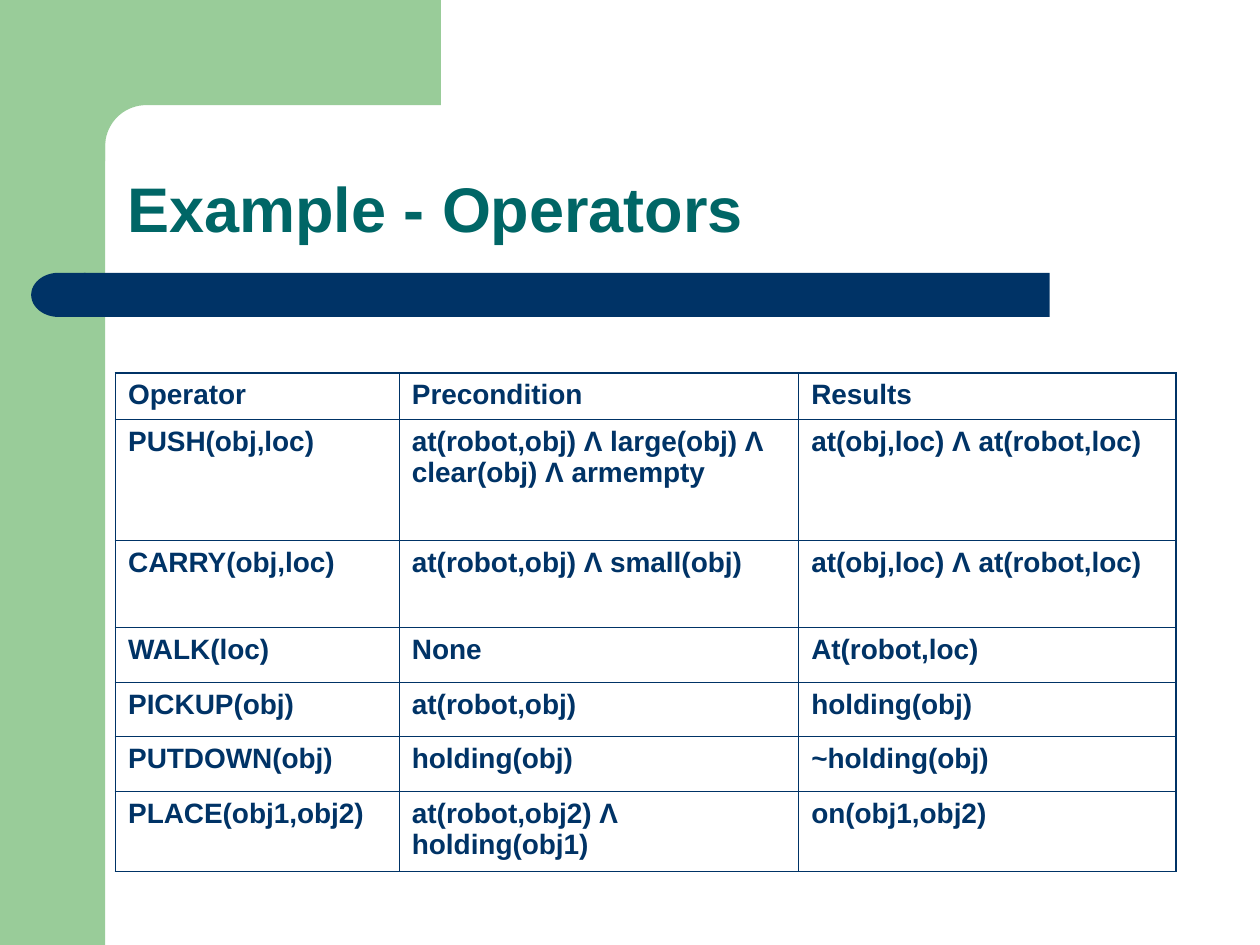
import math
from lxml import etree
from pptx import Presentation
from pptx import util as u
from pptx.dml.color import RGBColor
from pptx.enum import shapes, text
from pptx.oxml.ns import qn

GREEN = RGBColor(0x99, 0xCC, 0x99)
NAVY = RGBColor(0x00, 0x33, 0x66)
TEAL = RGBColor(0x00, 0x66, 0x66)
FONT = "Arial"
OUTER, INNER = 1.08, 0.45

COLUMNS = [5.72, 8.05, 7.6]
HEIGHTS = [0.94, 2.44, 1.75, 1.11, 1.09, 1.11, 1.61]
OPERATORS = [
    ("Operator", "Precondition", "Results"),
    ("PUSH(obj,loc)", "at(robot,obj) Λ large(obj) Λ clear(obj) Λ armempty",
     "at(obj,loc) Λ at(robot,loc)"),
    ("CARRY(obj,loc)", "at(robot,obj) Λ small(obj)", "at(obj,loc) Λ at(robot,loc)"),
    ("WALK(loc)", "None", "At(robot,loc)"),
    ("PICKUP(obj)", "at(robot,obj)", "holding(obj)"),
    ("PUTDOWN(obj)", "holding(obj)", "~holding(obj)"),
    ("PLACE(obj1,obj2)", "at(robot,obj2) Λ holding(obj1)", "on(obj1,obj2)"),
]


def paint(shape, color):
    shape.shadow.inherit = False
    shape.fill.solid()
    shape.fill.fore_color.rgb = color
    shape.line.fill.background()


def add_block(page, kind, left, top, width, height, color):
    block = page.shapes.add_shape(kind, u.Cm(left), u.Cm(top), u.Cm(width), u.Cm(height))
    paint(block, color)
    return block


def add_corner(page):
    center, radius = 2.95, 0.83
    angles = [math.radians(270 - step * 5) for step in range(19)]
    arc = [(center + radius * math.cos(a), center + radius * math.sin(a)) for a in angles]
    points = [(8.89, 2.12), *arc, (2.12, 3.25), (1.27, 3.25), (1.27, 0)]
    builder = page.shapes.build_freeform(u.Cm(8.89), 0)
    builder.add_line_segments([(u.Cm(x), u.Cm(y)) for x, y in points])
    paint(builder.convert_to_shape(), GREEN)


def style(para, size, color):
    para.alignment = text.PP_ALIGN.LEFT
    para.font.name = FONT
    para.font.size = u.Pt(size)
    para.font.bold = True
    para.font.color.rgb = color


def place_title(page, words):
    title = page.shapes.title
    title.left, title.top = u.Cm(2.31), u.Cm(2.31)
    title.width, title.height = u.Cm(21.62), u.Cm(2.77)
    frame = title.text_frame
    frame.text = words
    frame.auto_size = text.MSO_AUTO_SIZE.NONE
    frame.vertical_anchor = text.MSO_ANCHOR.BOTTOM
    para = frame.paragraphs[0]
    para.line_spacing = 0.9
    style(para, 36, TEAL)
    title.element.getparent().append(title.element)


def set_borders(cell, widths):
    properties = cell._tc.get_or_add_tcPr()
    for side, width in widths.items():
        line = etree.SubElement(properties, qn(f"a:ln{side}"), w=str(u.Pt(width)))
        fill = etree.SubElement(line, qn("a:solidFill"))
        etree.SubElement(fill, qn("a:srgbClr"), val=str(NAVY))


def add_operator_table(page):
    last_row, last_column = len(HEIGHTS) - 1, len(COLUMNS) - 1
    frame = page.shapes.add_table(len(HEIGHTS), len(COLUMNS), u.Cm(2.33), u.Cm(7.52),
                                  u.Cm(sum(COLUMNS)), u.Cm(sum(HEIGHTS)))
    table = frame.table
    table.first_row = table.horz_banding = False
    for column, width in zip(table.columns, COLUMNS):
        column.width = u.Cm(width)
    for r, (height, values) in enumerate(zip(HEIGHTS, OPERATORS)):
        table.rows[r].height = u.Cm(height)
        for c, value in enumerate(values):
            cell = table.cell(r, c)
            cell.text = value
            style(cell.text_frame.paragraphs[0], 16, NAVY)
            set_borders(cell, {
                "L": OUTER if c == 0 else INNER,
                "R": OUTER if c == last_column else INNER,
                "T": OUTER if r == 0 else INNER,
                "B": OUTER if r == last_row else INNER,
            })
            cell.fill.background()


def main():
    deck = Presentation()
    deck.slide_width, deck.slide_height = u.Cm(25.4), u.Cm(19.05)
    page = deck.slides.add_slide(deck.slide_layouts[5])
    kinds = shapes.MSO_SHAPE
    add_block(page, kinds.RECTANGLE, 0, 0, 2.12, 19.05, GREEN)
    add_corner(page)
    bar = add_block(page, kinds.ROUNDED_RECTANGLE, 1.69, 5.5, 19.47, 0.89, NAVY)
    bar.adjustments[0] = 0
    cap = add_block(page, kinds.FLOWCHART_DELAY, 0.63, 5.5, 1.1, 0.89, NAVY)
    cap.element.spPr.get_or_add_xfrm().set("flipH", "1")
    place_title(page, "Example - Operators")
    add_operator_table(page)
    deck.save("out.pptx")


if __name__ == "__main__":
    main()
